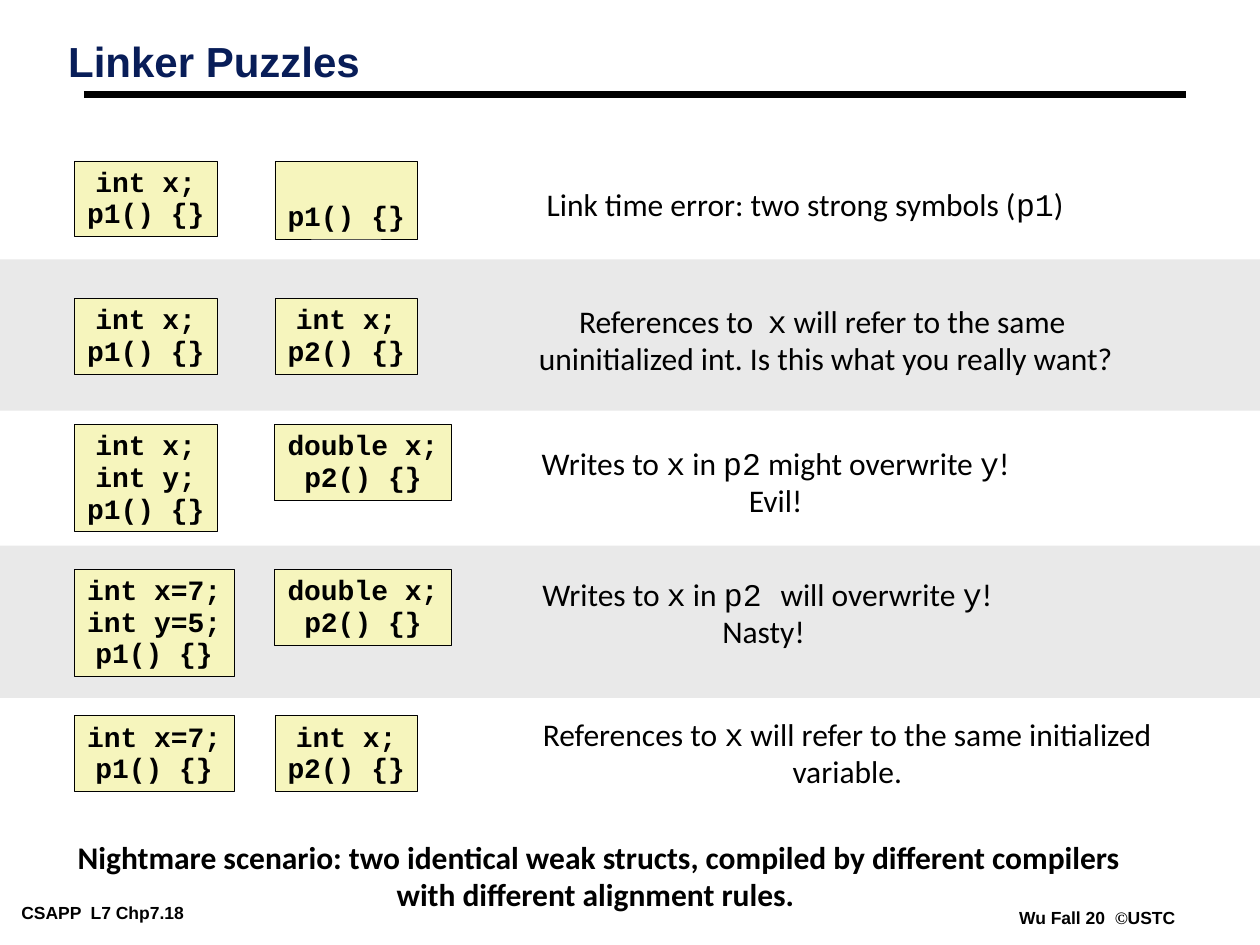
from pptx import Presentation
from pptx.dml.color import RGBColor as Rgb
from pptx.enum.shapes import MSO_CONNECTOR as Conn, MSO_SHAPE as Shape
from pptx.enum.text import MSO_ANCHOR as Anchor, PP_ALIGN as Align
from pptx.util import Pt
from lxml.etree import SubElement as Sub
from pptx.oxml.ns import qn

INK = {name: Rgb.from_string(code) for name, code in {
    "text": "000000", "title": "081D58", "band": "E9E9E9", "code": "F6F5BD",
}.items()}
MONO, SANS, HEAD, MARK = "Courier New", "Calibri", "Arial", "Times New Roman"
LEFT, RIGHT = 42.5, 157

ROWS = [
    (64, 84, 28, False, ["int x;", "p1() {}"], ["p1() {}"],
     (304.5, 39, 311), ["Link time error: two strong symbols (`p1`)"]),
    (148.3, 86.4, 22.3, True, ["int x;", "p1() {}"], ["int x;", "p2() {}"],
     (300, 21.6, 344), ["References to  `x` will refer to the same ",
                        "uninitialized int. Is this what you really want?"]),
    (234.7, 77.1, 7.9, False, ["int x;", "int y;", "p1() {}"], ["double x;", "p2() {}"],
     (301.7, 16.6, 283), ["Writes to `x` in `p2` might overwrite `y`!", "Evil!"]),
    (311.8, 87, 13.6, True, ["int x=7;", "int y=5;", "p1() {}"], ["double x;", "p2() {}"],
     (302.4, 14.4, 272), ["Writes to `x` in `p2 `will overwrite `y`!", "Nasty! "]),
    (398.8, 72, 10.2, False, ["int x=7;", "p1() {}"], ["int x;", "p2() {}"],
     (301.7, 7.3, 365), ["References to `x` will refer to the same initialized",
                         "variable."]),
]


def add_run(par, text, face, size, bold=False, ink="text"):
    run = par.add_run()
    run.text = text
    font = run.font
    font.name, font.size, font.bold = face, Pt(size), bold
    font.color.rgb = INK[ink]


def set_frame(frame, side, edge, wrap=False, anchor=Anchor.TOP):
    frame.margin_left = frame.margin_right = Pt(side)
    frame.margin_top = frame.margin_bottom = Pt(edge)
    frame.word_wrap = wrap
    frame.vertical_anchor = anchor


def add_lines(frame, lines, face, size, bold, space):
    for num, line in enumerate(lines):
        par = frame.add_paragraph() if num else frame.paragraphs[0]
        par.alignment = Align.CENTER
        par.line_spacing = space
        for part, text in enumerate(line.split("`")):
            if text:
                add_run(par, text, MONO if part % 2 else face, size, bold)


def add_rect(slide, box, fill):
    rect = slide.shapes.add_shape(Shape.RECTANGLE, *map(Pt, box))
    rect.shadow.inherit = False
    rect.fill.solid()
    rect.fill.fore_color.rgb = INK[fill]
    rect.line.fill.background()
    return rect


def add_code(slide, left, top, lines):
    short = len(lines) < 2
    wide = 14.4 + 9.6 * max(map(len, lines))
    high = 44.6 if short else 7.2 + 18 * len(lines)
    rect = add_rect(slide, (left, top, wide, high), "code")
    rect.line.color.rgb = INK["text"]
    rect.line.width = Pt(0.25)
    set_frame(rect.text_frame, 7.2, 3.6, anchor=Anchor.BOTTOM if short else Anchor.TOP)
    add_lines(rect.text_frame, lines, MONO, 16, True, 0.94)


def add_note(slide, box, lines, bold=False):
    note = slide.shapes.add_textbox(*map(Pt, box)).text_frame
    set_frame(note, 7.2, 3.6)
    add_lines(note, lines, SANS, 18, bold, 0.98)


def add_row(slide, top, high, pad, band, first, other, spot, lines):
    if band:
        add_rect(slide, (0, top, 720, high), "band")
    add_code(slide, LEFT, top + pad, first)
    add_code(slide, RIGHT, top + pad, other)
    left, drop, wide = spot
    add_note(slide, (left, top + drop, wide, 13 + 18.4 * len(lines)), lines)


def add_head(slide, left, top, wide, high):
    title = slide.shapes.title
    title.left, title.top, title.width, title.height = map(Pt, (left, top, wide, high))
    set_frame(title.text_frame, 5, 2.2, wrap=True)
    par = title.text_frame.paragraphs[0]
    par.alignment = Align.LEFT
    par.line_spacing = 0.87
    add_run(par, "Linker Puzzles", HEAD, 24, True, "title")
    rule = slide.shapes.add_connector(
        Conn.STRAIGHT, Pt(left + 14), Pt(top + 31.7), Pt(left + 644), Pt(top + 31.7))
    rule.line.color.rgb = INK["text"]
    rule.line.width = Pt(4.5)
    Sub(rule._element.spPr, qn("a:effectLst"))


def add_foot(slide, box, parts):
    frame = slide.shapes.add_textbox(*map(Pt, box)).text_frame
    set_frame(frame, 5, 2.2)
    par = frame.paragraphs[0]
    par.alignment = Align.LEFT
    for text, face in parts:
        add_run(par, text, face, 10, True)


def main():
    deck = Presentation()
    deck.slide_width, deck.slide_height = Pt(720), Pt(540)
    slide = deck.slides.add_slide(deck.slide_layouts[5])
    add_head(slide, 34, 22.3, 686, 62)
    for row in ROWS:
        add_row(slide, *row)
    add_note(slide, (36, 476.6, 612.7, 49.7), [
        "Nightmare scenario: two identical weak structs, compiled by different compilers",
        "with different alignment rules. "], True)
    add_foot(slide, (7.2, 513.4, 140.4, 15.8), [("CSAPP  L7 Chp7.18", HEAD)])
    add_foot(slide, (577.4, 516.2, 99.4, 15.8),
             [("Wu Fall 20  ", HEAD), ("©", MARK), ("USTC", HEAD)])
    deck.save("out.pptx")


if __name__ == "__main__":
    main()
